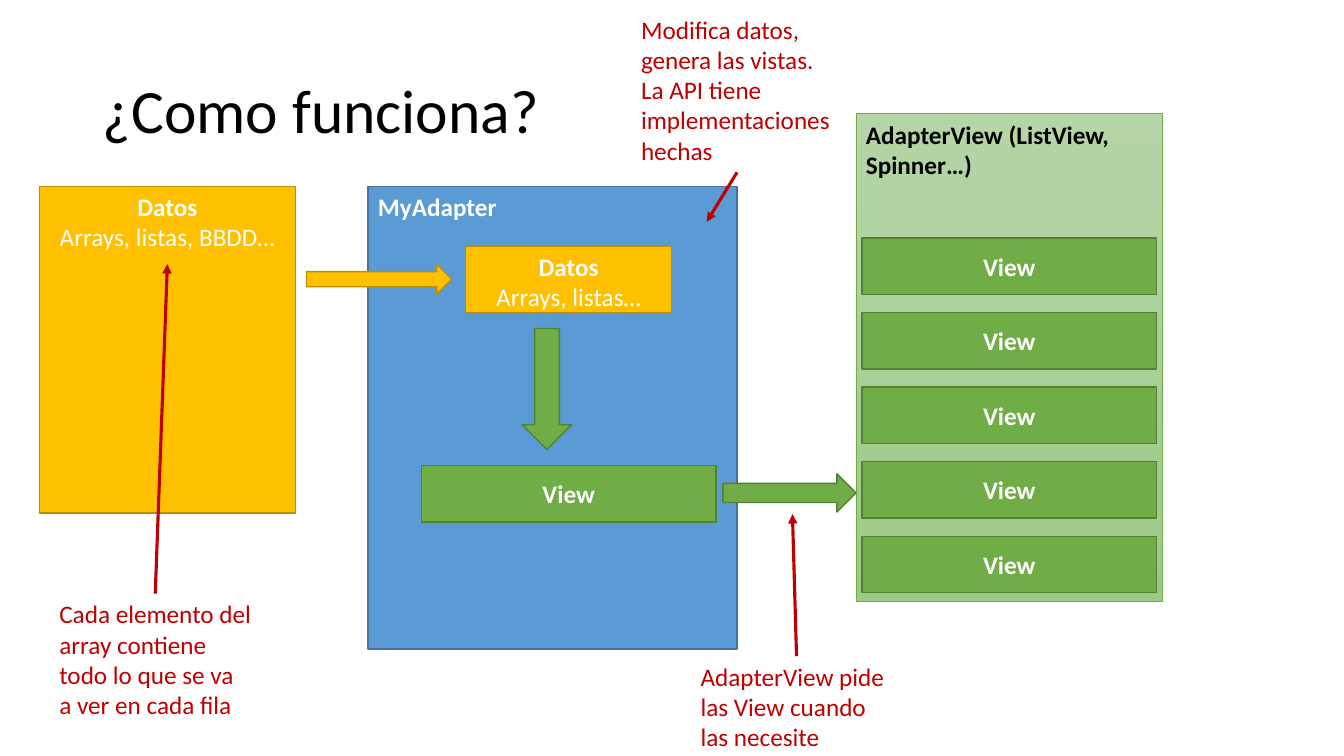
from lxml import etree
from pptx import Presentation
from pptx.dml.color import RGBColor
from pptx.enum.shapes import MSO_CONNECTOR, MSO_SHAPE
from pptx.enum.text import MSO_ANCHOR, MSO_AUTO_SIZE, PP_ALIGN
from pptx.oxml.ns import qn
from pptx.util import Inches, Pt

RECTANGLE = MSO_SHAPE.RECTANGLE
RIGHT_ARROW = MSO_SHAPE.RIGHT_ARROW
DOWN_ARROW = MSO_SHAPE.DOWN_ARROW
STRAIGHT = MSO_CONNECTOR.STRAIGHT
LEFT, CENTER = PP_ALIGN.LEFT, PP_ALIGN.CENTER
TOP, MIDDLE = MSO_ANCHOR.TOP, MSO_ANCHOR.MIDDLE
NO_AUTOFIT = MSO_AUTO_SIZE.NONE
TOP_SIDE, BOTTOM_SIDE = 0, 2

FONT = "Calibri"
COLORS = {
    "white": "FFFFFF",
    "black": "000000",
    "blue": "5B9BD5",
    "blue_edge": "43739E",
    "gold": "FFC000",
    "gold_edge": "BD8E00",
    "green": "70AD47",
    "green_edge": "538035",
    "pale_green_top": "B5D5A7",
    "pale_green_bottom": "9CC987",
    "red": "C00000",
}


def rgb(name):
    return RGBColor.from_string(COLORS[name])


def write(shape, text, color, size=18, align=LEFT, anchor=TOP, bold_first=False):
    """Put text in a shape, one paragraph a line, the first one bold if asked."""
    frame = shape.text_frame
    frame.text = text
    frame.word_wrap = True
    frame.auto_size = NO_AUTOFIT
    frame.vertical_anchor = anchor
    for index, para in enumerate(frame.paragraphs):
        para.alignment = align
        for span in para.runs:
            span.font.name = FONT
            span.font.size = Pt(size)
            span.font.bold = bold_first and index == 0
            span.font.color.rgb = rgb(color)


def add_title(page, text):
    title = page.shapes.title
    title.left, title.top = Inches(0.92), Inches(0.4)
    title.width, title.height = Inches(11.5), Inches(1.45)
    write(title, text, "black", size=44, anchor=MIDDLE)
    title.text_frame.paragraphs[0].line_spacing = 0.9


def add_block(page, kind, color, left, top, width, height):
    """Add a filled shape with the darker edge of its colour."""
    block = page.shapes.add_shape(
        kind, Inches(left), Inches(top), Inches(width), Inches(height))
    block.shadow.inherit = False
    block.fill.solid()
    block.fill.fore_color.rgb = rgb(color)
    block.line.color.rgb = rgb(color + "_edge")
    block.line.width = Pt(1)
    return block


def add_data_box(page, text, left, top, width, height):
    box = add_block(page, RECTANGLE, "gold", left, top, width, height)
    write(box, text, "white", align=CENTER, bold_first=True)


def add_view(page, left, top):
    view = add_block(page, RECTANGLE, "green", left, top, 2.92, 0.56)
    write(view, "View", "white", align=CENTER, anchor=MIDDLE, bold_first=True)


def add_adapter_view(page):
    """Add the pale green panel with its column of views."""
    panel = add_block(page, RECTANGLE, "green", 8.49, 1.13, 3.04, 4.84)
    panel.fill.gradient()
    panel.fill.gradient_angle = 270
    for stop, color in zip(panel.fill.gradient_stops,
                           ("pale_green_top", "pale_green_bottom")):
        stop.color.rgb = rgb(color)
    panel.line.color.rgb = rgb("green")
    panel.line.width = Pt(0.5)
    write(panel, "AdapterView (ListView, Spinner…)", "black", bold_first=True)
    for row in range(5):
        add_view(page, 8.55, 2.36 + 0.74 * row)


def add_note(page, text, left, top, height, side, target):
    """Add a red note and an arrow from the middle of one side to target."""
    note = page.shapes.add_textbox(
        Inches(left), Inches(top), Inches(2.1), Inches(height))
    write(note, text, "red")
    end_x, end_y = target
    arrow = page.shapes.add_connector(
        STRAIGHT, note.left, note.top, Inches(end_x), Inches(end_y))
    arrow.begin_connect(note, side)
    arrow.line.color.rgb = rgb("red")
    arrow.line.width = Pt(2.25)
    etree.SubElement(arrow.line._get_or_add_ln(), qn("a:tailEnd"), type="triangle")
    etree.SubElement(arrow._element.spPr, qn("a:effectLst"))


def main():
    deck = Presentation()
    deck.slide_width, deck.slide_height = Inches(13.33), Inches(7.5)
    page = deck.slides.add_slide(deck.slide_layouts[5])

    add_title(page, "¿Como funciona?")
    adapter = add_block(page, RECTANGLE, "blue", 3.65, 1.85, 3.66, 4.59)
    write(adapter, "MyAdapter", "white", bold_first=True)
    add_data_box(page, "Datos\nArrays, listas, BBDD…", 0.39, 1.85, 2.54, 3.24)
    add_note(page, "Cada elemento del array contiene todo lo que se va a ver en cada fila",
             0.49, 5.89, 1.31, TOP_SIDE, (1.66, 2.62))
    add_block(page, RIGHT_ARROW, "gold", 3.04, 2.62, 1.44, 0.3)
    add_data_box(page, "Datos\nArrays, listas…", 4.62, 2.44, 2.04, 0.66)
    add_block(page, DOWN_ARROW, "green", 5.18, 3.26, 0.49, 1.2)
    add_view(page, 4.18, 4.62)
    add_adapter_view(page)
    add_block(page, RIGHT_ARROW, "green", 7.17, 4.7, 1.32, 0.38)
    add_note(page, "Modifica datos, genera las vistas.\nLa API tiene implementaciones hechas",
             6.26, 0.09, 1.62, BOTTOM_SIDE, (7.01, 2.2))
    add_note(page, "AdapterView pide las View cuando las necesite",
             6.85, 6.51, 1.01, TOP_SIDE, (7.86, 5.1))

    deck.save("out.pptx")


if __name__ == "__main__":
    main()
